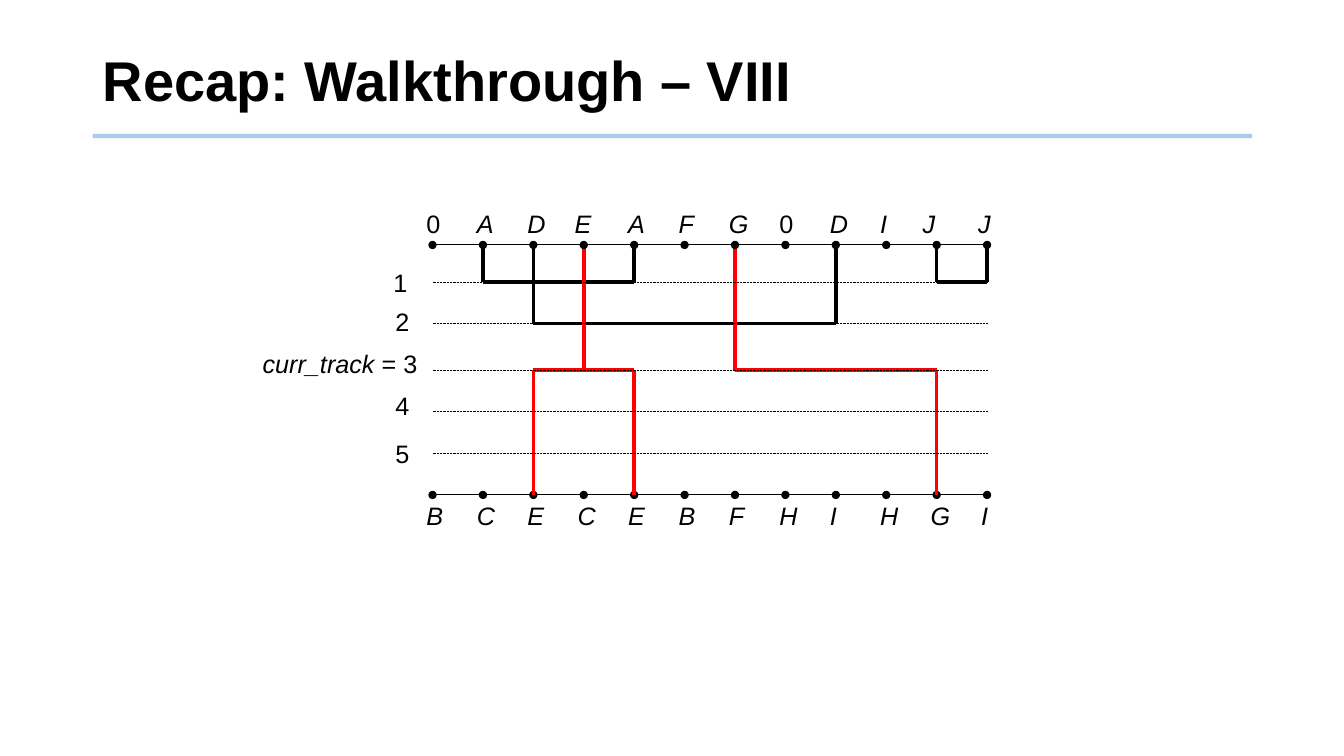
from dataclasses import dataclass

from lxml import etree
from pptx import Presentation
from pptx.dml.color import RGBColor
from pptx.enum import dml, shapes, text
from pptx.oxml import ns
from pptx.util import Inches, Pt


@dataclass(frozen=True)
class Theme:
    font: str = "Arial"
    ink: str = "000000"
    routed: str = "FF0000"
    rule: str = "5B9BD5"
    title_size: int = 40
    label_size: int = 18
    rule_width: float = 3
    wire_width: float = 2.5
    rail_width: float = 0.75
    track_width: float = 0.5


class ChannelSlide:
    def __init__(self, deck, theme):
        self.theme = theme
        self.page = deck.slides.add_slide(deck.slide_layouts[5])

    def add_span(self, para, words, size, bold=False, italic=False):
        span = para.add_run()
        span.text = words
        font = span.font
        font.name, font.size = self.theme.font, Pt(size)
        font.bold, font.italic = bold, italic
        font.color.rgb = RGBColor.from_string(self.theme.ink)

    def title(self, words, left, top, width, height):
        box = self.page.shapes.title
        box.left, box.top = Inches(left), Inches(top)
        box.width, box.height = Inches(width), Inches(height)
        box.text_frame.vertical_anchor = text.MSO_ANCHOR.MIDDLE
        para = box.text_frame.paragraphs[0]
        para.alignment = text.PP_ALIGN.LEFT
        para.line_spacing = 0.9
        self.add_span(para, words, self.theme.title_size, bold=True)

    def label(self, spans, left, top, width=0.42, align=text.PP_ALIGN.LEFT):
        """Place a one-line label made of (words, italic) spans."""
        box = self.page.shapes.add_textbox(
            Inches(left), Inches(top), Inches(width), Inches(0.41))
        frame = box.text_frame
        frame.word_wrap = True
        frame.margin_left = frame.margin_right = Inches(0.11)
        frame.margin_top = frame.margin_bottom = Inches(0.05)
        para = frame.paragraphs[0]
        para.alignment = align
        for words, italic in spans:
            self.add_span(para, words, self.theme.label_size, italic=italic)

    def line(self, start, end, color, width, dash=None, ends=(), opacity=None):
        """Draw a straight line; ends lists the XML tags that get an oval."""
        link = self.page.shapes.add_connector(
            shapes.MSO_CONNECTOR.STRAIGHT, *map(Inches, start + end))
        link.line.color.rgb = RGBColor.from_string(color)
        link.line.width = Pt(width)
        if dash is not None:
            link.line.dash_style = dash
        properties = link._element.spPr
        outline = properties.find(ns.qn("a:ln"))
        for tag in ends:
            etree.SubElement(outline, ns.qn(tag), type="oval")
        if opacity is not None:
            fill = outline.find(".//" + ns.qn("a:srgbClr"))
            etree.SubElement(fill, ns.qn("a:alpha"), val=str(opacity * 1000))
        etree.SubElement(properties, ns.qn("a:effectLst"))

    def wire(self, start, end, color):
        self.line(start, end, color, self.theme.wire_width)

    def rail(self, pins, y):
        """Draw a row of pins joined by a thin line."""
        for index, (x, following) in enumerate(zip(pins, pins[1:])):
            ends = ("a:tailEnd",) if index else ("a:headEnd", "a:tailEnd")
            self.line((x, y), (following, y), self.theme.ink,
                      self.theme.rail_width, ends=ends)

    def pin_labels(self, names, pins, top, nudges):
        for index, (name, x) in enumerate(zip(names, pins)):
            left = x - 0.17 + nudges.get(index, 0)
            self.label([(name, name.isalpha())], left, top)


def main():
    deck = Presentation()
    deck.slide_width, deck.slide_height = Inches(13.33), Inches(7.5)
    theme = Theme()
    slide = ChannelSlide(deck, theme)

    slide.line((0.92, 1.35), (12.42, 1.35), theme.rule, theme.rule_width,
               opacity=50)
    slide.title("Recap: Walkthrough – VIII", 0.92, 0.28, 11.5, 1.1)

    top_names, bottom_names = "0ADEAFG0DIJJ", "BCECEBFHIHGI"
    pins = [4.29 + 0.5 * index for index in range(len(top_names))]
    top_rail, bottom_rail = 2.43, 4.91
    tracks = [2.8, 3.21, 3.67, 4.08, 4.5]

    slide.rail(pins, bottom_rail)
    slide.pin_labels(bottom_names, pins, bottom_rail, {})

    # Each net: track number, pins reached on top, pins reached below, colour
    nets = [
        (1, [1, 4], [], theme.ink),
        (2, [2, 8], [], theme.ink),
        (3, [3], [2, 4], theme.routed),
        (3, [6], [10], theme.routed),
        (1, [10, 11], [], theme.ink),
    ]
    for track, upper, lower, color in nets:
        y = tracks[track - 1]
        for pin in upper:
            slide.wire((pins[pin], top_rail - 0.02), (pins[pin], y), color)
        for pin in lower:
            slide.wire((pins[pin], y), (pins[pin], bottom_rail), color)
        reached = upper + lower
        slide.wire((pins[min(reached)], y), (pins[max(reached)], y), color)

    for y in tracks:
        slide.line((pins[0], y), (pins[-1], y), theme.ink, theme.track_width,
                   dash=dml.MSO_LINE.ROUND_DOT)

    track_labels = [
        ([("1", False)], 4.15, 2.6),
        ([("2", False)], 4.17, 2.99),
        ([("curr_track", True), (" = 3", False)], 4.25, 3.41),
        ([("4", False)], 4.17, 3.82),
        ([("5", False)], 4.17, 4.3),
    ]
    for spans, right, top in track_labels:
        slide.label(spans, right - 1.9, top, 1.9, text.PP_ALIGN.RIGHT)

    slide.rail(pins, top_rail)
    slide.pin_labels(top_names, pins, 2.02, {3: -0.03, 10: -0.08, 11: -0.03})

    deck.save("out.pptx")


if __name__ == "__main__":
    main()
